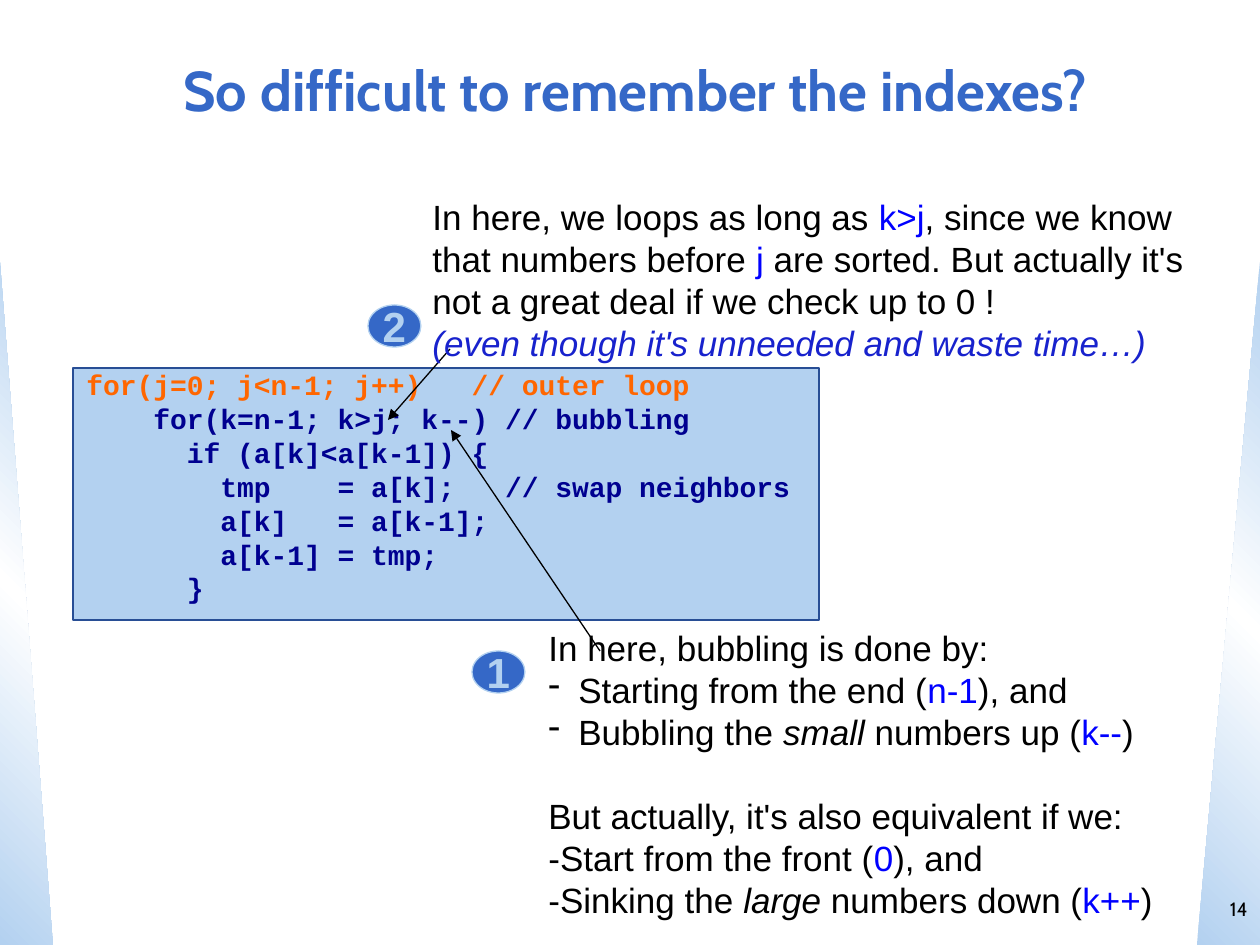
import lxml.etree
import pptx
import pptx.dml.color
import pptx.enum.shapes
import pptx.enum.text
import pptx.oxml.ns
import pptx.util

SHAPE = pptx.enum.shapes.MSO_SHAPE
ALIGN = pptx.enum.text.PP_ALIGN
ANCHOR = pptx.enum.text.MSO_ANCHOR
FIT = pptx.enum.text.MSO_AUTO_SIZE
PX = 914400 / 126
SKY, ROYAL, BLUE, BLACK = "B3D1F0", "3568C7", "0000FF", "000000"


def emu(*lengths):
    return [round(length * PX) for length in lengths]


def rgb(value):
    return pptx.dml.color.RGBColor.from_string(value)


def append_xml(parent, tag, **attributes):
    return lxml.etree.SubElement(parent, pptx.oxml.ns.qn(tag), attributes)


def indent(paragraph, margin, first_line):
    properties = paragraph._p.get_or_add_pPr()
    for key, length in zip(("marL", "indent"), emu(margin, first_line)):
        properties.set(key, str(length))
    return properties


class Deck:
    """Holds the text styles and the slide being filled."""

    styles = {
        "title": dict(name="Cabin", size=pptx.util.Pt(32), bold=True, color=ROYAL),
        "code": dict(name="Courier New", size=pptx.util.Pt(16), bold=True, color="000090"),
        "note": dict(name="Arial", size=pptx.util.Pt(20), color=BLACK),
        "badge": dict(name="Arial", size=pptx.util.Pt(24), bold=True, color=SKY),
        "number": dict(name="Cabin", size=pptx.util.Pt(11), color=BLACK),
    }

    def __init__(self):
        self.file = pptx.Presentation()
        self.file.slide_width, self.file.slide_height = emu(1260, 945)
        self.slide = self.file.slides.add_slide(self.file.slide_layouts[5])

    def fill_frame(self, frame, style, paragraphs, layout=None, **frame_format):
        """Fill a frame; a paragraph is a list of strings or (string, format) pairs."""
        for key, value in frame_format.items():
            setattr(frame, key, value)
        for index, pieces in enumerate(paragraphs):
            paragraph = frame.add_paragraph() if index else frame.paragraphs[0]
            for key, value in (layout or {}).items():
                setattr(paragraph, key, value)
            for piece in pieces:
                text, changes = (piece, {}) if isinstance(piece, str) else piece
                for part, line in enumerate(text.split("\n")):
                    if part:
                        paragraph.add_line_break()
                    if line:
                        self.add_run(paragraph, line, {**self.styles[style], **changes})

    def add_run(self, paragraph, text, look):
        run = paragraph.add_run()
        run.text = text
        for key, value in look.items():
            if key == "color":
                run.font.color.rgb = rgb(value)
            else:
                setattr(run.font, key, value)

    def title(self, text, *box):
        holder = self.slide.shapes.title
        for side, length in zip(("left", "top", "width", "height"), emu(*box)):
            setattr(holder, side, length)
        self.fill_frame(holder.text_frame, "title", [[text]], {"alignment": ALIGN.CENTER},
                        vertical_anchor=ANCHOR.MIDDLE, auto_size=FIT.NONE)

    def text(self, box, style, paragraphs, layout=None, **frame_format):
        frame = self.slide.shapes.add_textbox(*emu(*box)).text_frame
        self.fill_frame(frame, style, paragraphs, layout, word_wrap=True, **frame_format)
        return frame

    def shape(self, kind, box, fill, line):
        shape = self.slide.shapes.add_shape(kind, *emu(*box))
        shape.shadow.inherit = False
        shape.fill.solid()
        shape.fill.fore_color.rgb = rgb(fill)
        if line:
            shape.line.color.rgb = rgb(line)
            shape.line.width = pptx.util.Pt(0.75)
        else:
            shape.line.fill.background()
        return shape

    def side_wedge(self, box, angle, flipped=False):
        wedge = self.shape(SHAPE.RIGHT_TRIANGLE, box, SKY, None)
        wedge.fill.gradient()
        gradient = wedge._element.spPr.find(pptx.oxml.ns.qn("a:gradFill"))
        for child in list(gradient):
            gradient.remove(child)
        stops = append_xml(gradient, "a:gsLst")
        for position, color in ((0, SKY), (50, "FFFFFF"), (100, SKY)):
            stop = append_xml(stops, "a:gs", pos=str(position * 1000))
            append_xml(stop, "a:srgbClr", val=color)
        append_xml(gradient, "a:lin", ang=str(angle * 60000), scaled="0")
        if flipped:
            wedge._element.spPr.xfrm.set("flipH", "1")

    def code(self, box, lines):
        panel = self.shape(SHAPE.RECTANGLE, box, SKY, "284E95")
        self.fill_frame(panel.text_frame, "code", lines,
                        dict(alignment=ALIGN.LEFT, line_spacing=0.8,
                             space_before=pptx.util.Pt(4)),
                        vertical_anchor=ANCHOR.TOP, word_wrap=True)
        for paragraph in panel.text_frame.paragraphs:
            indent(paragraph, 40, -39)

    def badge(self, label, left, top):
        oval = self.shape(SHAPE.OVAL, (left, top, 53, 42), ROYAL, SKY)
        self.fill_frame(oval.text_frame, "badge", [[label]], {"alignment": ALIGN.CENTER},
                        vertical_anchor=ANCHOR.MIDDLE, word_wrap=False)

    def arrow(self, *ends):
        arrow = self.slide.shapes.add_connector(
            pptx.enum.shapes.MSO_CONNECTOR.STRAIGHT, *emu(*ends))
        arrow.line.color.rgb = rgb(BLACK)
        arrow.line.width = pptx.util.Pt(0.75)
        properties = arrow._element.spPr
        append_xml(properties.find(pptx.oxml.ns.qn("a:ln")), "a:tailEnd", type="triangle")
        append_xml(properties, "a:effectLst")

    def dash(self, paragraph):
        append_xml(indent(paragraph, 30, -30), "a:buChar", char="-")


def main():
    deck = Deck()
    deck.side_wedge((0, 262, 53, 683), 315)
    deck.side_wedge((1197, 262, 63, 683), 45, flipped=True)
    deck.title("So difficult to remember the indexes?", 25, 10, 1222, 158)
    deck.code((73, 368, 746, 252), [
        [("for(j=0; j<n-1; j++)   // outer loop", {"color": "FF6600"})],
        ["    for(k=n-1; k>j; k--) // bubbling"],
        ["      if (a[k]<a[k-1]) {"],
        ["        tmp    = a[k];   // swap neighbors"],
        ["        a[k]   = a[k-1];"],
        ["        a[k-1] = tmp;"],
        ["      }"],
    ])

    blue, italic = {"color": BLUE}, {"italic": True}
    deck.arrow(600, 651, 451, 430)
    bubbling = deck.text((536, 620, 683, 307), "note", [
        ["In here, bubbling is done by:"],
        ["Starting from the end (", ("n-1", blue), "), and"],
        ["Bubbling the ", ("small", italic), " numbers up (", ("k--", blue), ")"],
        ["But actually, it's also equivalent if we:"],
        ["-Start from the front (", ("0", blue), "), and\n-Sinking the ",
         ("large", italic), " numbers down (", ("k++", blue), ")"],
    ], auto_size=FIT.SHAPE_TO_FIT_TEXT)
    for step in bubbling.paragraphs[1:3]:
        deck.dash(step)
    bubbling.paragraphs[3].space_before = pptx.util.Pt(24)
    deck.badge("1", 472, 651)

    deck.arrow(450, 349, 388, 420)
    deck.badge("2", 368, 305)
    deck.text((420, 189, 798, 223), "note", [
        ["In here, we loops as long as ", ("k>j", blue),
         ", since we know that numbers before ", ("j", blue),
         " are sorted. But actually it's not a great deal if we check up to 0 !\n",
         ("(even though it's unneeded and waste time…)",
          {"color": "1822CD", "italic": True})],
    ], auto_size=FIT.SHAPE_TO_FIT_TEXT)
    deck.text((1197, 872, 63, 73), "number", [["14"]], {"alignment": ALIGN.RIGHT},
              vertical_anchor=ANCHOR.MIDDLE)
    deck.file.save("out.pptx")


if __name__ == "__main__":
    main()
